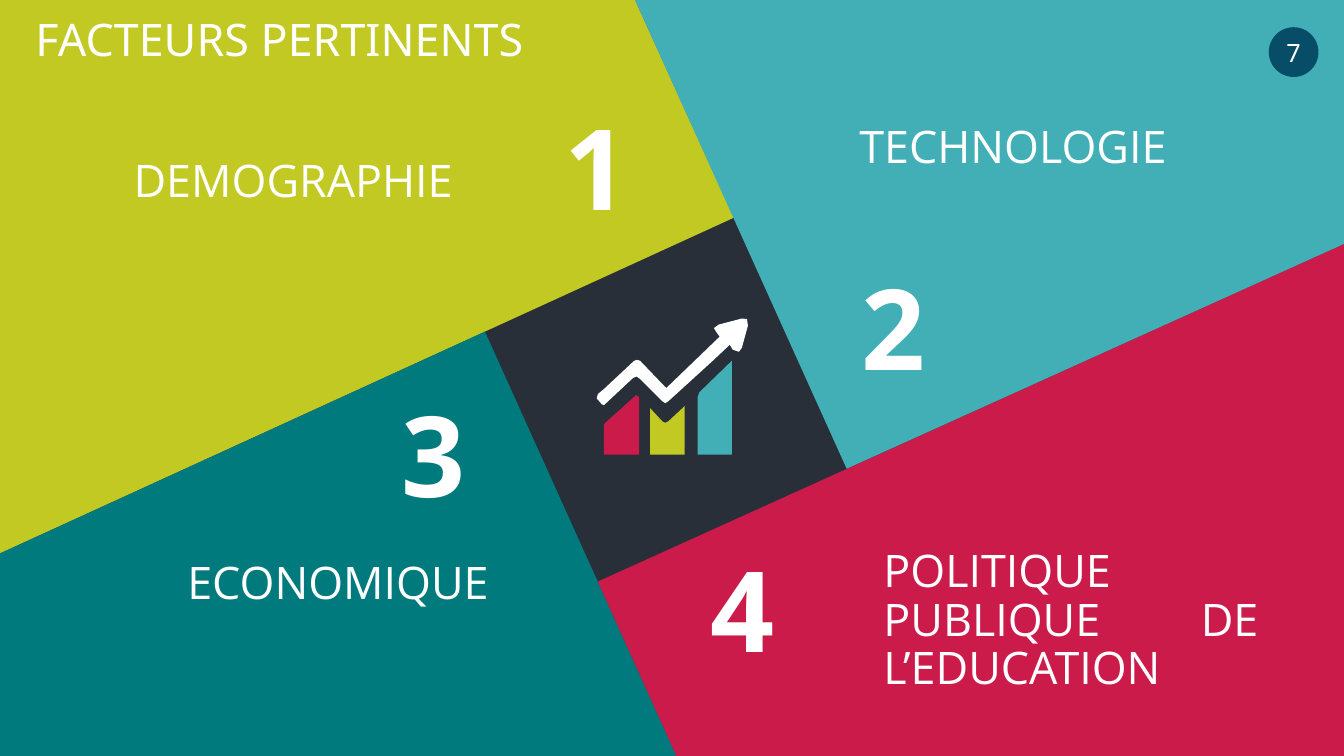
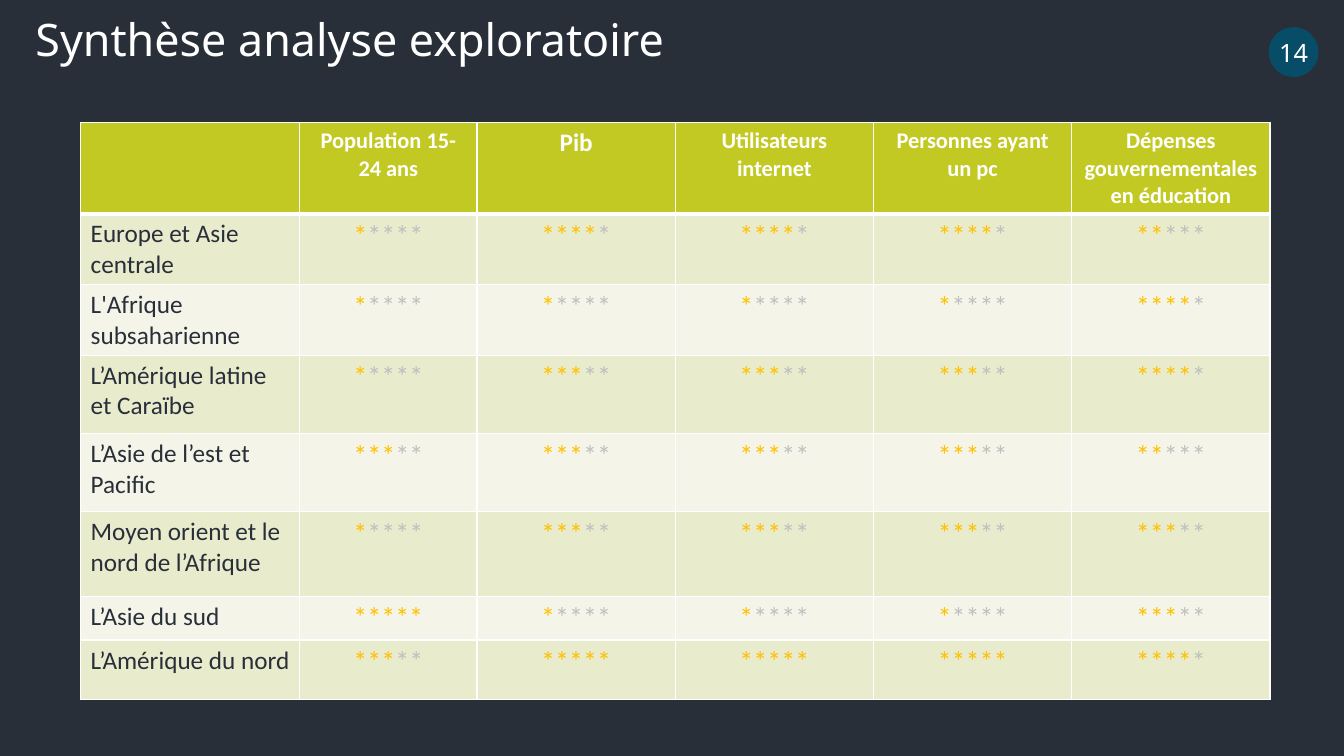
from lxml import etree
from pptx import Presentation
from pptx import util as u
from pptx.dml.color import RGBColor
from pptx.enum import shapes, text
from pptx.oxml import ns

NIGHT, NAVY, WHITE = "282F39", "074D67", "FFFFFF"
OLIVE, TEAL, RED, AQUA = "C2C923", "007A7D", "CB1B4A", "42AFB6"
BANDS = ["E9EBCD", "F4F5E8"]
GOLD, GREY = "FFC000", "BFBFBF"
HEADING_FONT, LABEL_FONT, TABLE_FONT = "Noto Sans", "Open Sans", "Calibri"
LEFT, CENTER, JUSTIFY = text.PP_ALIGN.LEFT, text.PP_ALIGN.CENTER, text.PP_ALIGN.JUSTIFY

deck = Presentation()
deck.slide_width, deck.slide_height = u.Inches(13.33), u.Inches(7.5)
# One column or row is a hundredth of the slide
COL, ROW = deck.slide_width / 100, deck.slide_height / 100


def paint(target, color):
    """Fill a shape, cell or background with a hex colour."""
    target.fill.solid()
    target.fill.fore_color.rgb = RGBColor.from_string(color)


def write(frame, content, color=WHITE, size=18, font=HEADING_FONT, bold=False,
          align=LEFT, spacing=1.0):
    """Add a formatted span to the first paragraph of a text frame."""
    para = frame.paragraphs[0]
    para.alignment, para.line_spacing = align, spacing
    span = para.add_run()
    span.text = content
    span.font.size, span.font.name, span.font.bold = u.Pt(size), font, bold
    span.font.color.rgb = RGBColor.from_string(color)


# Background, title and page number of both slides
pages = []
for title, number in [("FACTEURS PERTINENTS", "7"), ("Synthèse analyse exploratoire", "14")]:
    page = deck.slides.add_slide(deck.slide_layouts[6])
    paint(page.background, NIGHT)
    pages.append((page, title, number))
factors, summary = pages[0][0], pages[1][0]

# Four quadrants around a tilted square, in ten-thousandths of the slide
square_top, square_left = (5460, 2880), (3608, 4387)
square_bottom, square_right = (4448, 7693), (6300, 6200)
edge_top, edge_left = (4725, 0), (0, 7320)
edge_bottom, edge_right = (5033, 10000), (10000, 3227)
outlines = [
    (OLIVE, [(0, 0), edge_top, square_top, edge_left]),
    (TEAL, [edge_left, square_left, edge_bottom, (0, 10000)]),
    (RED, [square_bottom, edge_right, (10000, 10000), edge_bottom]),
    (AQUA, [edge_top, (10000, 0), edge_right, square_right]),
    # Growth icon: three bars and an arrow
    (AQUA, [(5445, 4773), (5445, 6013), (5190, 6013), (5190, 5253), (5205, 5187)]),
    (RED, [(4733, 5227), (4755, 5253), (4755, 6013), (4493, 6013), (4493, 5627),
           (4500, 5600)]),
    (OLIVE, [(5093, 5373), (5093, 6013), (4838, 6013), (4838, 5400), (4928, 5573),
             (4950, 5593), (4973, 5573)]),
    (WHITE, [(4958, 5133), (5355, 4453), (5333, 4400), (5312, 4340), (5348, 4293),
             (5520, 4213), (5558, 4220), (5565, 4307), (5520, 4600), (5498, 4653),
             (5453, 4627), (5430, 4560), (5303, 4773), (4973, 5307), (4950, 5333),
             (4928, 5307), (4763, 5013), (4736, 4980), (4710, 5000), (4493, 5360),
             (4478, 5347), (4440, 5270), (4448, 5213), (4493, 5147), (4718, 4773),
             (4740, 4760), (4763, 4773), (4943, 5107)]),
]
for color, points in outlines:
    builder = factors.shapes.build_freeform(*points[0], scale=(COL / 100, ROW / 100))
    builder.add_line_segments(points[1:], close=True)
    outline = builder.convert_to_shape()
    outline.shadow.inherit = False
    outline.line.fill.background()
    paint(outline, color)

# Page numbers, then all text boxes as (page, text, left, top, width, height, format)
title_format = dict(size=32, spacing=0.9)
label_format = dict(size=32, font=LABEL_FONT, align=JUSTIFY, spacing=0.9)
number_format = dict(size=80, font=LABEL_FONT, bold=True, align=CENTER, spacing=0.9)
boxes = []
for page, title, number in pages:
    badge = page.shapes.add_shape(shapes.MSO_SHAPE.OVAL, int(94.4 * COL), int(3.6 * ROW),
                                  int(3.7 * COL), int(6.58 * ROW))
    badge.shadow.inherit = False
    badge.line.fill.background()
    paint(badge, NAVY)
    badge.text_frame.word_wrap = False
    badge.text_frame.vertical_anchor = text.MSO_ANCHOR.MIDDLE
    write(badge.text_frame, number, align=CENTER)
    boxes.append((page, title, 1.9, 1.7, 83.3, 8.5, title_format))

for number, left, top in [("1", 37.1, 14.4), ("2", 59.2, 35.5), ("3", 25, 52.3),
                          ("4", 48, 72.9)]:
    boxes.append((factors, number, left, top, 14.5, 19.3, number_format))
for label, left, top, width, lines in [
    ("DEMOGRAPHIE", 9.2, 20.4, 28.4, 1),
    ("TECHNOLOGIE", 63.2, 15.9, 28.7, 1),
    ("ECONOMIQUE", 13.2, 73.5, 26.6, 1),
    ("POLITIQUE PUBLIQUE DE L’EDUCATION", 65, 72, 29.4, 3),
]:
    boxes.append((factors, label, left, top, width, 1.3 + 7.2 * lines, label_format))

for page, content, left, top, width, height, style in boxes:
    box = page.shapes.add_textbox(int(left * COL), int(top * ROW),
                                  int(width * COL), int(height * ROW))
    box.text_frame.word_wrap = True
    write(box.text_frame, content, **style)

# Rating table: stars out of five per region
headers = ["", "Population 15-24 ans", "Pib", "Utilisateurs internet",
           "Personnes ayant un pc", "Dépenses gouvernementales en éducation"]
ratings = [
    ("Europe et Asie centrale", 1, 4, 4, 4, 2),
    ("L'Afrique subsaharienne", 1, 1, 1, 1, 4),
    ("L’Amérique latine et Caraïbe", 1, 3, 3, 3, 4),
    ("L’Asie de l’est et Pacific", 3, 3, 3, 3, 2),
    ("Moyen orient et le nord de l’Afrique", 1, 3, 3, 3, 3),
    ("L’Asie du sud", 5, 1, 1, 1, 3),
    ("L’Amérique du nord", 3, 5, 5, 5, 4),
]
widths = [16.3, 13.2] + [14.75] * 4
heights = [12.1, 9.3, 9.3, 10.35, 10.35, 11.2, 5.7, 7.9]
table = summary.shapes.add_table(len(heights), len(widths), int(6 * COL), int(16.2 * ROW),
                                 int(sum(widths) * COL), int(sum(heights) * ROW)).table
table.first_row = table.horz_banding = False
for column, width in zip(table.columns, widths):
    column.width = int(width * COL)
for row, height in zip(table.rows, heights):
    row.height = int(height * ROW)

for r, values in enumerate([headers] + ratings):
    for c, value in enumerate(values):
        cell = table.cell(r, c)
        # White rules, heavier around the header's lower edge
        props = cell._tc.get_or_add_tcPr()
        for side in "LRTB":
            heavy = (r, side) in [(0, "B"), (1, "T")]
            rule = etree.SubElement(props, ns.qn("a:ln" + side), w=str(u.Pt(3 if heavy else 1)))
            solid = etree.SubElement(rule, ns.qn("a:solidFill"))
            etree.SubElement(solid, ns.qn("a:srgbClr"), val=WHITE)
        paint(cell, BANDS[(r - 1) % 2] if r else OLIVE)
        frame = cell.text_frame
        if r == 0 and value:
            write(frame, value, size=18 if value == "Pib" else 16, font=TABLE_FONT,
                  bold=True, align=CENTER)
        elif r and c == 0:
            write(frame, value, NIGHT, font=TABLE_FONT)
        elif r:
            for count, color in [(value, GOLD), (5 - value, GREY)]:
                if count:
                    write(frame, "*" * count, color, size=20, font=TABLE_FONT, align=CENTER)

deck.save("out.pptx")
